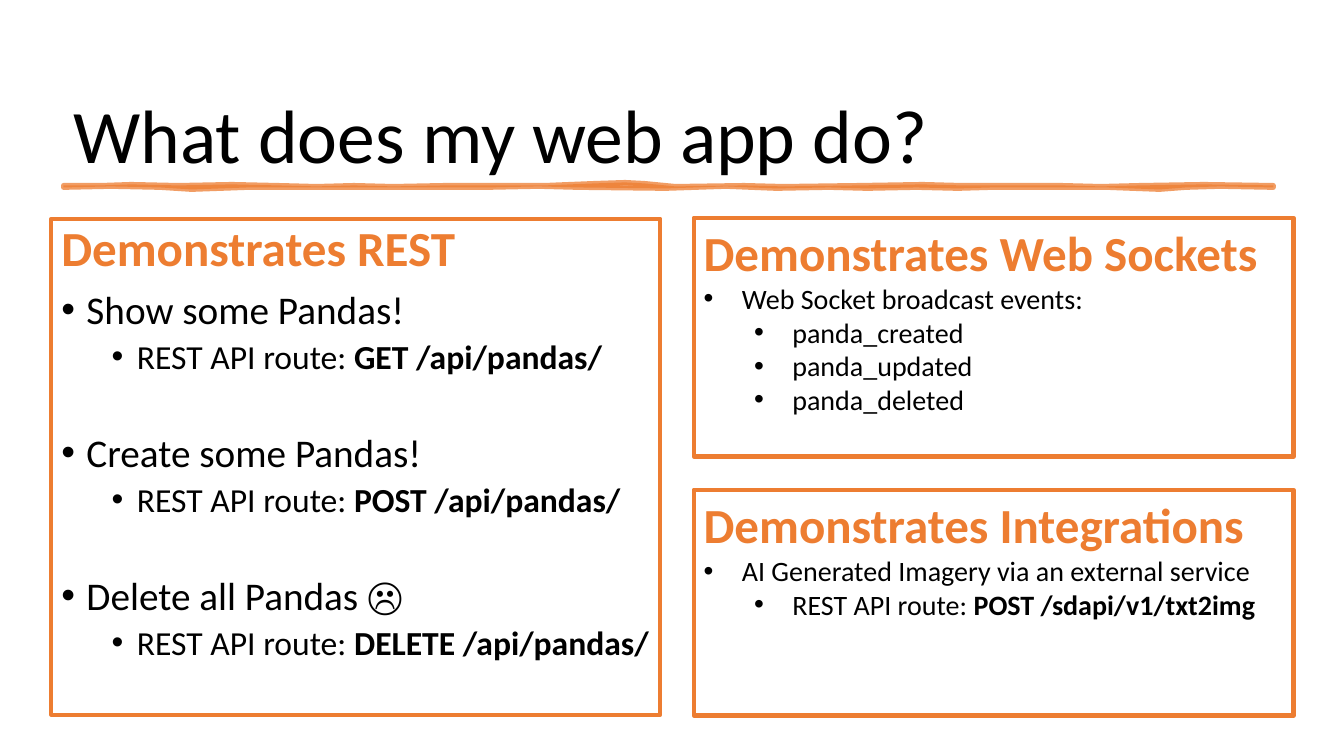
from lxml.etree import SubElement
from pptx import Presentation
from pptx.dml.color import RGBColor
from pptx.enum.shapes import MSO_SHAPE
from pptx.enum.text import MSO_ANCHOR, PP_ALIGN
from pptx.oxml.ns import qn
from pptx.util import Inches, Pt

ORANGE, BLACK, WHITE = "ED7D31", "000000", "FFFFFF"
UPPER = [(0.63, 0), (1.0, 0), (1.3, -0.01), (1.77, 0), (2.3, -0.01),
         (2.76, 0), (3.14, 0.01), (3.51, 0), (3.9, 0.01), (4.41, 0),
         (5.4, 0), (5.9, -0.02), (6.2, -0.03), (6.39, -0.02), (6.7, 0.01),
         (7.38, 0), (7.77, 0.01), (8.52, 0), (9.15, -0.01), (9.54, 0),
         (10.53, 0), (10.92, 0.01), (11.31, 0), (11.94, -0.01), (12.63, 0)]
LOWER = [(12.63, 0.02), (12.1, 0.01), (11.76, 0.02), (11.5, 0.04),
         (10.98, 0.02), (10.23, 0.02), (9.84, 0.02), (9.5, 0.03),
         (9.09, 0.02), (8.6, 0.03), (8.22, 0.02), (7.7, 0.03),
         (7.2, 0.01), (6.6, 0.03), (5.73, 0.02), (5.34, 0.01),
         (4.83, 0.02), (4.2, 0.02), (3.45, 0.02), (2.46, 0.02),
         (1.9, 0.04), (1.59, 0.02), (1.1, 0.01), (0.63, 0.02)]


def tint(code):
    return RGBColor.from_string(code)


def fade(color, part):
    SubElement(color, qn("a:alpha")).set("val", str(part * 1000))


def add_run(para, text, size, color, bold=False):
    run = para.add_run()
    run.text = text
    font = run.font
    font.name, font.size, font.bold = "Calibri", Pt(size), bold
    font.color.rgb = tint(color)


def set_bullet(para, left, hang):
    props = para._p.get_or_add_pPr()
    props.set("marL", str(Inches(left)))
    props.set("indent", str(-Inches(hang)))
    SubElement(props, qn("a:buFont")).set("typeface", "Arial")
    SubElement(props, qn("a:buChar")).set("char", "•")


def add_title(slide, x, y, w, h, text):
    box = slide.shapes.add_textbox(Inches(x), Inches(y), Inches(w), Inches(h))
    frame = box.text_frame
    frame.word_wrap = True
    frame.vertical_anchor = MSO_ANCHOR.BOTTOM
    para = frame.paragraphs[0]
    para.line_spacing = 0.9
    add_run(para, text, 54, BLACK)


def add_stroke(slide, y):
    points = [(Inches(px), Inches(y + dy)) for px, dy in UPPER + LOWER]
    pen = slide.shapes.build_freeform(*points[0])
    pen.add_line_segments(points[1:], close=True)
    band = pen.convert_to_shape()
    band.shadow.inherit = False
    band.fill.solid()
    band.fill.fore_color.rgb = tint(ORANGE)
    band.line.color.rgb = tint(ORANGE)
    band.line.width = Pt(3.5)
    for color in band._element.spPr.iter(qn("a:srgbClr")):
        fade(color, 75)


def add_panel(slide, x, y, w, h, head, items, sizes, hang, tight=None):
    box = slide.shapes.add_shape(
        MSO_SHAPE.RECTANGLE, Inches(x), Inches(y), Inches(w), Inches(h))
    box.shadow.inherit = False
    box.fill.solid()
    box.fill.fore_color.rgb = tint(WHITE)
    box.line.color.rgb = tint(ORANGE)
    box.line.width = Pt(3)
    frame = box.text_frame
    frame.word_wrap = True
    frame.vertical_anchor = MSO_ANCHOR.TOP
    para = frame.paragraphs[0]
    para.alignment = PP_ALIGN.LEFT
    para.line_spacing = tight
    add_run(para, head, 35, ORANGE, True)
    for level, gap, text, strong in items:
        para = frame.add_paragraph()
        para.alignment = PP_ALIGN.LEFT
        para.level = level
        para.line_spacing = tight
        para.space_before = Pt(gap)
        set_bullet(para, hang + level * 0.5, hang)
        add_run(para, text, sizes[level], BLACK)
        if strong:
            add_run(para, strong, sizes[level], BLACK, True)


def build():
    deck = Presentation()
    deck.slide_width, deck.slide_height = Inches(13.33), Inches(7.5)
    slide = deck.slides.add_slide(deck.slide_layouts[6])
    add_title(slide, 0.63, 0.26, 12.05, 1.57, "What does my web app do?")
    add_stroke(slide, 1.84)

    route = "REST API route: "
    tasks = [("Show some Pandas!", "GET", 10),
             ("Create some Pandas!", "POST", 41),
             ("Delete all Pandas ☹", "DELETE", 41)]
    rest = []
    for text, verb, gap in tasks:
        rest += [(0, gap, text, ""), (1, 5, route, f"{verb} /api/pandas/")]
    add_panel(slide, 0.51, 2.17, 6.04, 4.92, "Demonstrates REST",
              rest, (28, 24), 0.25, 0.9)

    events = [(0, 0, "Web Socket broadcast events:", "")]
    events += [(1, 0, f"panda_{verb}", "")
               for verb in ("created", "updated", "deleted")]
    add_panel(slide, 6.88, 2.16, 5.95, 2.37, "Demonstrates Web Sockets",
              events, (20, 20), 0.38)

    links = [(0, 0, "AI Generated Imagery via an external service", ""),
             (1, 0, route, "POST /sdapi/v1/txt2img")]
    add_panel(slide, 6.88, 4.86, 5.95, 2.24, "Demonstrates Integrations",
              links, (20, 20), 0.38)
    deck.save("out.pptx")


if __name__ == "__main__":
    build()
